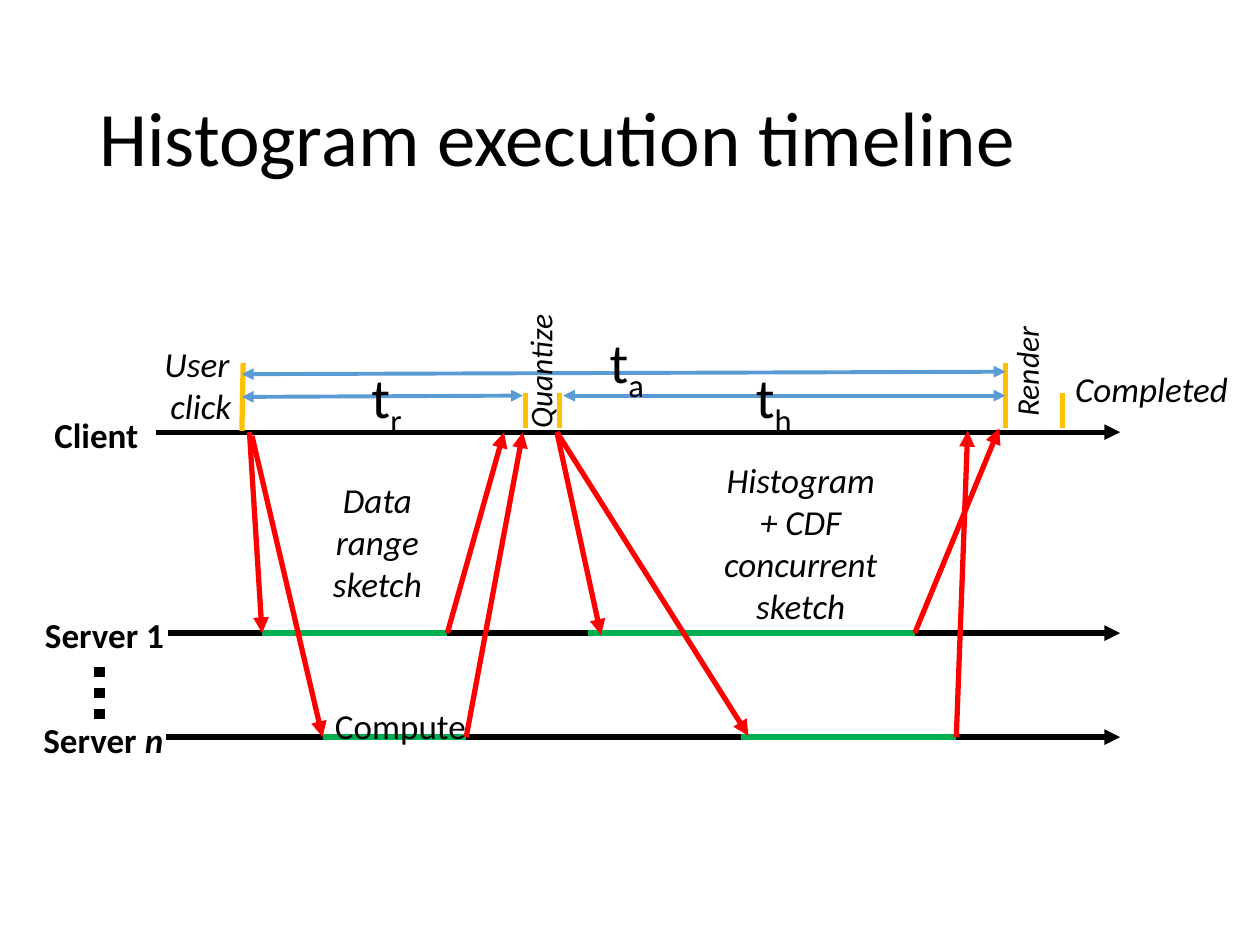
from dataclasses import dataclass
from typing import NamedTuple

from lxml.etree import SubElement
from pptx import Presentation
from pptx.dml.color import RGBColor
from pptx.enum.dml import MSO_LINE as Dash
from pptx.enum.text import MSO_ANCHOR as Anchor, MSO_AUTO_SIZE as Fit, PP_ALIGN as Align
from pptx.oxml.ns import qn
from pptx.util import Inches, Pt

COLS, ROWS = 100, 75
CELL = Inches(10) // COLS
BLACK = RGBColor(0x00, 0x00, 0x00)
GREEN = RGBColor(0x00, 0xB0, 0x50)
RED = RGBColor(0xFF, 0x00, 0x00)
GOLD = RGBColor(0xFF, 0xC0, 0x00)
BLUE = RGBColor(0x5B, 0x9B, 0xD5)

TOP, MID, LOW = 34.3, 50.25, 58.5
END = 88.9
CLICK, DONE = 19.2, 79.8


class Pen(NamedTuple):
    color: RGBColor
    width: float
    head: bool = False
    tail: bool = False
    dash: Dash | None = None


class Line(NamedTuple):
    x1: float
    y1: float
    x2: float
    y2: float


class Word(NamedTuple):
    text: str
    style: str = ""


@dataclass
class Label:
    left: float
    top: float
    width: float
    height: float
    paras: list[list[Word]]
    size: int = 20
    align: Align | None = Align.CENTER
    wrap: bool = True
    turn: int = 0
    fit: Fit = Fit.SHAPE_TO_FIT_TEXT
    space: float | None = None


AXIS = Pen(BLACK, 3, tail=True)
WORK = Pen(GREEN, 3)
CALL = Pen(RED, 3, tail=True)
TICK = Pen(GOLD, 3)
SPAN = Pen(BLUE, 2.25, head=True, tail=True)
DOTS = Pen(BLACK, 6, dash=Dash.ROUND_DOT)

LINES: dict[Pen, list[Line]] = {
    AXIS: [Line(12.4, TOP, END, TOP), Line(13.3, MID, END, MID), Line(13.2, LOW, END, LOW)],
    WORK: [Line(20.8, MID, 35.5, MID), Line(25.6, LOW, 37, LOW),
           Line(46.7, MID, 72.6, MID), Line(58.8, LOW, 75.9, LOW)],
    CALL: [Line(35.5, MID, 40, TOP), Line(37, LOW, 41.5, TOP),
           Line(19.8, TOP, 20.8, MID), Line(20, 34.6, 25.6, LOW),
           Line(72.6, MID, 79.3, 34), Line(75.9, LOW, 76.8, 34.2),
           Line(44.2, TOP, 47.7, 50.4), Line(44.2, TOP, 59.4, 58.4)],
    TICK: [Line(19.3, 28.8, CLICK, 34.2), Line(DONE, 34, DONE, 28.8)]
          + [Line(x, 34, x, 31.2) for x in (41.7, 44.4, 84.3)],
    SPAN: [Line(CLICK, 31.5, 41.5, 31.4), Line(44.7, 31.4, DONE, 31.4),
           Line(CLICK, 29.7, DONE, 29.5)],
    DOTS: [Line(7.9, 52.9, 7.9, 57.2)],
}


def plain(*texts: str, style: str = "") -> list[list[Word]]:
    return [[Word(text, style)] for text in texts]


def time(left: float, top: float, width: float, sub: str) -> Label:
    return Label(left, top, width, 6.4, [[Word("t"), Word(sub, "s")]], 32, None, False)


def side(left: float, text: str) -> Label:
    return Label(left, 27.5, 12.1, 4, plain(text, style="i"), 18, turn=270)


LABELS = [
    Label(3, 32.3, 9.3, 4.4, plain("Client", style="b")),
    Label(2.3, 48.2, 12, 4.4, plain("Server 1", style="b")),
    Label(2.1, 56.5, 12.2, 4.4, [[Word("Server ", "b"), Word("n", "bi")]]),
    Label(55.8, 35.9, 15.5, 14.5,
          plain("Histogram", "+ CDF", "concurrent", "sketch", style="i")),
    Label(23.9, 37.5, 12.1, 11.1, plain("Data\nrange", "sketch", style="i")),
    Label(83.8, 28.7, 15.2, 4.4, plain("Completed", style="i")),
    Label(9.3, 26.7, 13.3, 7.7, plain("User \nclick", style="i")),
    Label(25.6, 55.4, 12.5, 4.4, plain("Compute"), align=None, wrap=False),
    time(28.5, 28.3, 4.6, "r"),
    time(59, 28.3, 5.1, "h"),
    time(47.4, 25.5, 4.9, "a"),
    side(75.4, "Render"),
    side(36.8, "Quantize"),
    Label(6.9, 4, 86.2, 14.5, plain("Histogram execution timeline"), 44, None,
          fit=Fit.NONE, space=0.9),
]


def grid(*cells: float) -> list[int]:
    return [round(cell * CELL) for cell in cells]


def draw(shapes, pen: Pen, line: Line) -> None:
    rule = shapes.add_connector(1, *grid(*line))
    rule.line.color.rgb = pen.color
    rule.line.width = Pt(pen.width)
    if pen.dash is not None:
        rule.line.dash_style = pen.dash
    props = rule._element.spPr
    stroke = props.find(qn("a:ln"))
    for tag, shown in (("a:headEnd", pen.head), ("a:tailEnd", pen.tail)):
        if shown:
            SubElement(stroke, qn(tag), type="triangle")
    SubElement(props, qn("a:effectLst"))


def put(para, word: Word, size: int) -> None:
    for num, part in enumerate(word.text.split("\n")):
        if num:
            para.add_line_break()
        run = para.add_run()
        run.text = part
        font = run.font
        font.name, font.size = "Calibri", Pt(size)
        font.color.rgb = BLACK
        font.bold, font.italic = "b" in word.style, "i" in word.style
        if "s" in word.style:
            run._r.get_or_add_rPr().set("baseline", "-25000")


def write(shapes, label: Label) -> None:
    box = shapes.add_textbox(*grid(label.left, label.top, label.width, label.height))
    box.rotation = label.turn
    frame = box.text_frame
    frame.word_wrap = label.wrap
    frame.auto_size = label.fit
    if label.fit == Fit.NONE:
        frame.vertical_anchor = Anchor.MIDDLE
    for num, words in enumerate(label.paras):
        para = frame.add_paragraph() if num else frame.paragraphs[0]
        para.alignment = label.align
        para.line_spacing = label.space
        for word in words:
            put(para, word, label.size)


def main() -> None:
    deck = Presentation()
    deck.slide_width, deck.slide_height = grid(COLS, ROWS)
    shapes = deck.slides.add_slide(deck.slide_layouts[6]).shapes
    for pen, lines in LINES.items():
        for line in lines:
            draw(shapes, pen, line)
    for label in LABELS:
        write(shapes, label)
    deck.save("out.pptx")


if __name__ == "__main__":
    main()
